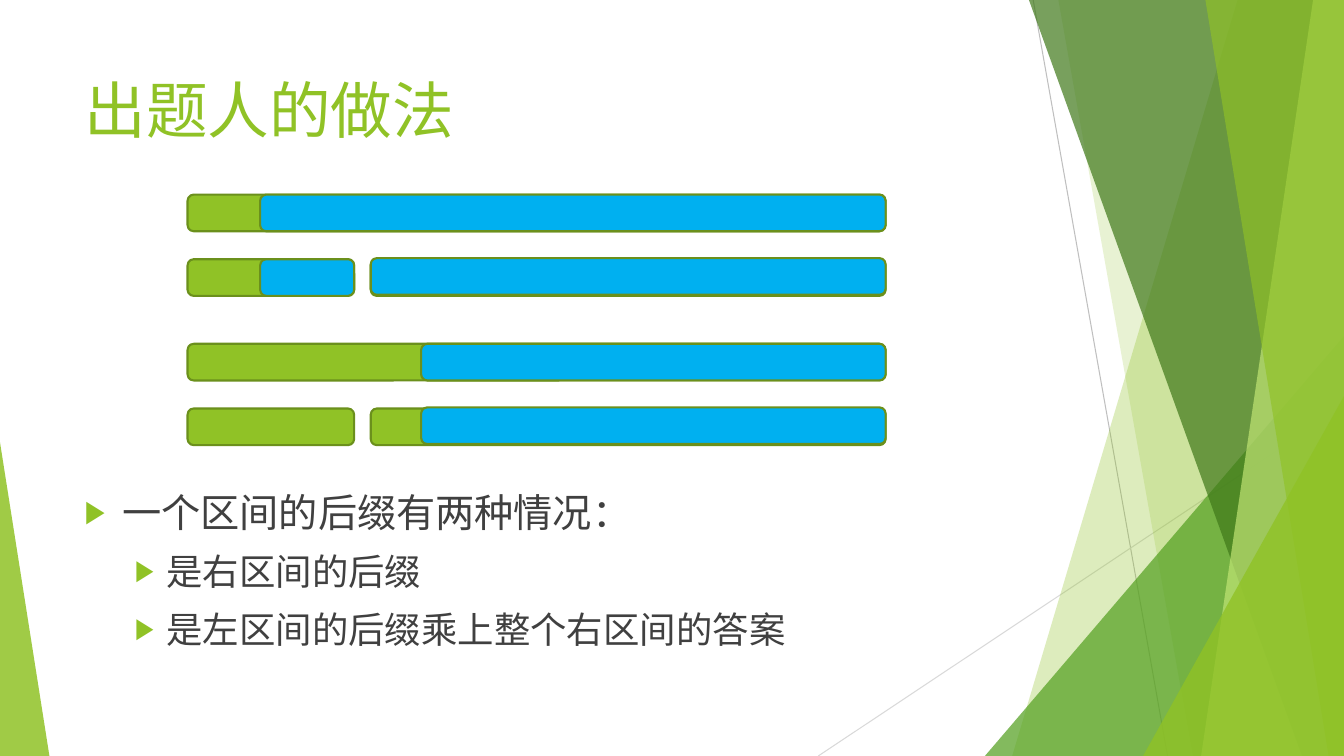
"""Build a slide that shows the two cases for the suffix of an interval."""
from pptx import Presentation
from pptx.dml.color import RGBColor
from pptx.enum.shapes import MSO_CONNECTOR, MSO_SHAPE
from pptx.oxml.ns import qn
from pptx.util import Pt

ROUND = MSO_SHAPE.ROUNDED_RECTANGLE
WEDGE = MSO_SHAPE.ISOSCELES_TRIANGLE
STRAIGHT = MSO_CONNECTOR.STRAIGHT
WIDE, HIGH = 960, 540
GREEN, BLUE, EDGE, GREY = "90C226", "00B0F0", "6B901C", "404040"


def ink(fill, color):
    fill.solid()
    fill.fore_color.rgb = RGBColor.from_string(color)


def write(par, text, size, color, before=0, left=0, hang=0):
    par.space_before = Pt(before)
    run = par.add_run()
    run.text = text
    run.font.size = Pt(size)
    run.font.name = "Arial"
    ink(run.font.fill, color)
    if hang:
        props = par._p.get_or_add_pPr()
        props.set("marL", str(Pt(left)))
        props.set("indent", str(-Pt(hang)))
        tint = props.makeelement(qn("a:buClr"), {})
        tint.append(tint.makeelement(qn("a:srgbClr"), {"val": GREEN}))
        props.append(tint)
        for tag, key, val in (("a:buSzPct", "val", "80000"),
                              ("a:buFont", "typeface", "Arial"),
                              ("a:buChar", "char", "▶")):
            props.append(props.makeelement(qn(tag), {key: val}))


deck = Presentation()
deck.slide_width, deck.slide_height = Pt(WIDE), Pt(HIGH)
slide = deck.slides.add_slide(deck.slide_layouts[6])
shapes = slide.shapes

for x1, y1, x2, color in ((738, 0, 834, "BFBFBF"), (WIDE, 290, 584.5, "D9D9D9")):
    line = shapes.add_connector(STRAIGHT, Pt(x1), Pt(y1), Pt(x2), Pt(HIGH))
    ink(line.line.fill, color)
    line.line.width = Pt(0.75)
    props = line._element.spPr
    props.append(props.makeelement(qn("a:effectLst"), {}))

# Each band runs from its top x to its foot x; each wedge has left, top, width and peak.
bands = (
    ("band", (884.5, 723), GREEN, 30),
    ("band", (756, 852), GREEN, 20),
    ("wedge", (703.5, 240, 256.5, 1), "54A021", 72),
    ("band", (735, 929.5), "3F7819", 70),
    ("band", (938, 858.5), "C0E474", 70),
    ("band", (861, 949), GREEN, 65),
    ("wedge", (816.5, 283, 143.5, 1), GREEN, 80),
    ("wedge", (0, 316, 35.3, 0), GREEN, 85),
)
for kind, place, color, alpha in bands:
    if kind == "band":
        top, foot = place
        pen = shapes.build_freeform(top, 0, scale=Pt(1))
        pen.add_line_segments(((WIDE, 0), (WIDE, HIGH), (foot, HIGH)), close=True)
        shape = pen.convert_to_shape()
    else:
        left, top, width, peak = place
        shape = shapes.add_shape(WEDGE, Pt(left), Pt(top), Pt(width), Pt(HIGH - top))
        shape.adjustments[0] = peak
    shape.shadow.inherit = False
    ink(shape.fill, color)
    shape.line.fill.background()
    tint = shape._element.spPr.find(".//" + qn("a:srgbClr"))
    tint.append(tint.makeelement(qn("a:alpha"), {"val": str(alpha * 1000)}))

texts = (
    (48, 103.5, (("出题人的做法", 44, GREEN, 0, 0, 0),)),
    (345, 130, (
        ("一个区间的后缀有两种情况：", 28, GREY, 0, 27, 27),
        ("是右区间的后缀", 26, GREY, 10, 58.5, 22.5),
        ("是左区间的后缀乘上整个右区间的答案", 26, GREY, 10, 58.5, 22.5),
    )),
)
for top, height, lines in texts:
    frame = shapes.add_textbox(Pt(53.3), Pt(top), Pt(677), Pt(height)).text_frame
    frame.word_wrap = True
    for i, (text, size, color, before, left, hang) in enumerate(lines):
        par = frame.add_paragraph() if i else frame.paragraphs[0]
        write(par, text, size, color, before=before, left=left, hang=hang)

START, MID, SPLIT, END = 134, 253, 264.8, 632.6
bars = (
    (139, START, END, GREEN), (185.2, START, MID, GREEN), (185.2, SPLIT, END, GREEN),
    (139, 185.8, END, BLUE), (184.4, SPLIT, END, BLUE), (185.2, 185.8, MID, BLUE),
    (245.6, START, END, GREEN), (291.8, START, MID, GREEN), (291.8, SPLIT, END, GREEN),
    (245.6, 300.8, END, BLUE), (291, 300.8, END, BLUE),
)
for top, left, right, color in bars:
    bar = shapes.add_shape(ROUND, Pt(left), Pt(top), Pt(right - left), Pt(26.2))
    bar.shadow.inherit = False
    ink(bar.fill, color)
    ink(bar.line.fill, EDGE)
    bar.line.width = Pt(1.5)

deck.save("out.pptx")
